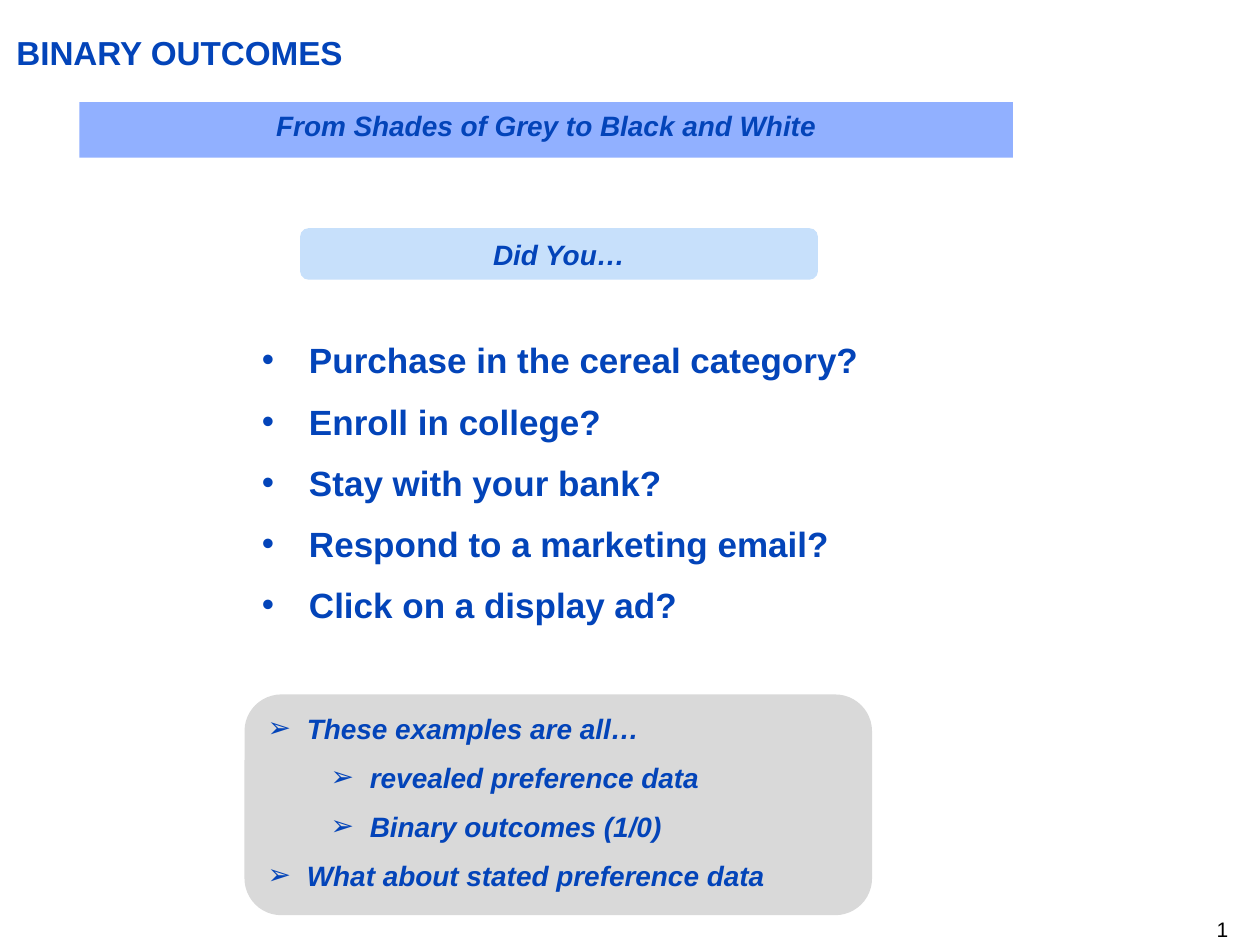
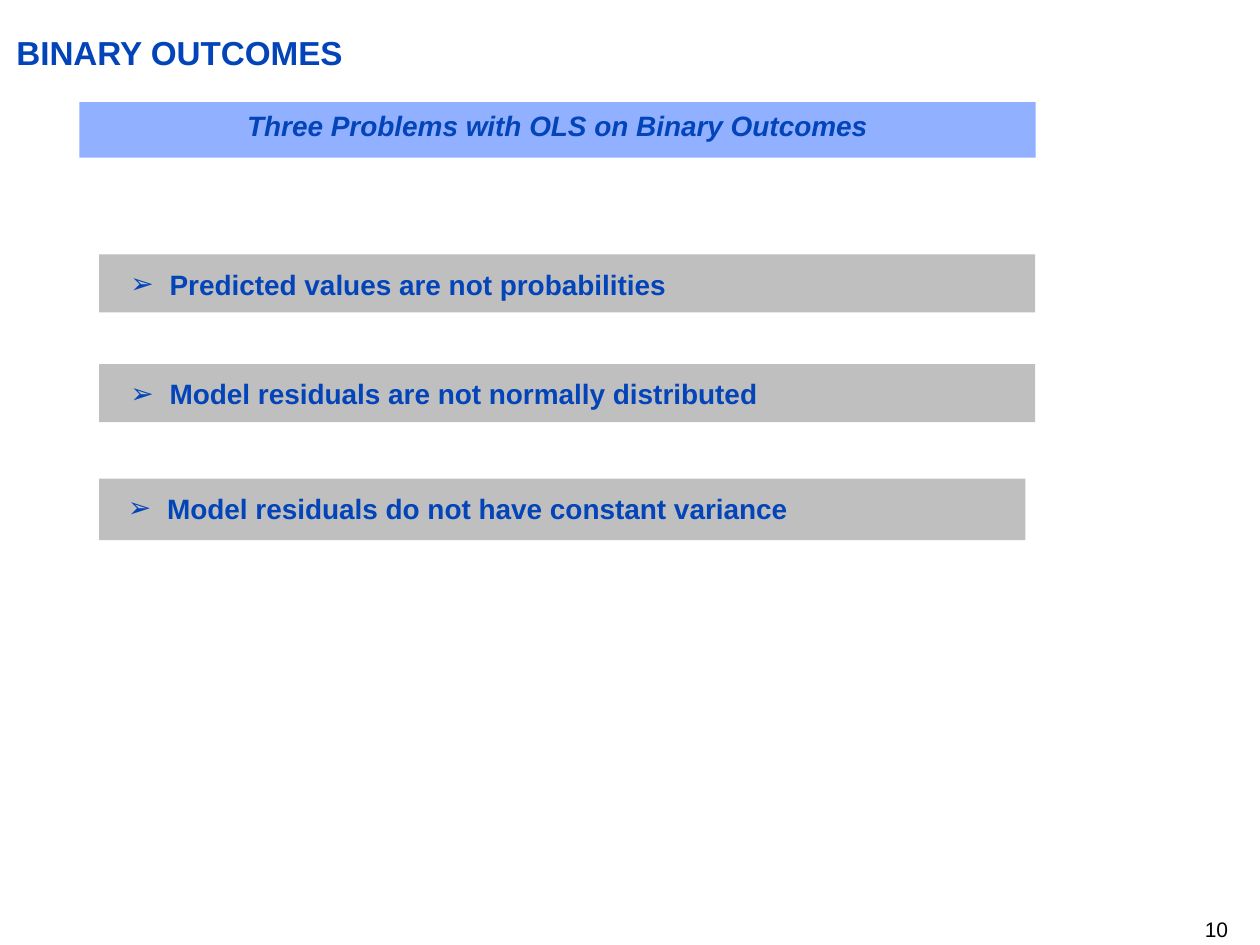
from lxml import etree
from pptx import Presentation
from pptx.dml.color import RGBColor
from pptx.enum.shapes import MSO_SHAPE
from pptx.enum.text import MSO_ANCHOR, MSO_AUTO_SIZE, PP_ALIGN
from pptx.oxml.ns import qn
from pptx.util import Cm, Pt

RECT, ROUND = MSO_SHAPE.RECTANGLE, MSO_SHAPE.ROUNDED_RECTANGLE
LEFT, MID, RIGHT = PP_ALIGN.LEFT, PP_ALIGN.CENTER, PP_ALIGN.RIGHT
TOP, FIXED = MSO_ANCHOR.TOP, MSO_AUTO_SIZE.NONE
TITLE_ONLY = 5

FONT = "Arial"
BLUE, BLACK = "0344B9", "000000"
BAND, PALE, NOTE, BAR = "91B0FF", "C7E0FB", "D9D9D9", "BFBFBF"
ARROW, DOT = "➢", "•"
INSET = (0.25, 0.13)
STEP = 1.27  # extra indent of each level, cm
GAP = 0.55  # space before a paragraph, share of the text size


def color(code):
    return RGBColor.from_string(code)


def place(shape, box):
    shape.left, shape.top, shape.width, shape.height = map(Cm, box)


def add_mark(para, mark, hang):
    """Give a paragraph a bullet and a hanging indent."""
    props = para._p.get_or_add_pPr()
    props.set("marL", str(Cm(hang + STEP * para.level)))
    props.set("indent", str(-Cm(hang)))
    etree.SubElement(props, qn("a:buFont"), typeface=FONT)
    etree.SubElement(props, qn("a:buChar"), char=mark)


def write(shape, *lines, size=16, ink=BLUE, bold=True, slant=False,
          align=LEFT, inset=INSET, mark=None, hang=0.79):
    """Fill a shape with lines; a line is a text or a (text, level) pair."""
    frame = shape.text_frame
    frame.word_wrap, frame.auto_size = True, FIXED
    frame.vertical_anchor = TOP
    frame.margin_left = frame.margin_right = Cm(inset[0])
    frame.margin_top = frame.margin_bottom = Cm(inset[1])
    for i, line in enumerate(lines):
        text, level = (line, 0) if isinstance(line, str) else line
        para = frame.add_paragraph() if i else frame.paragraphs[0]
        para.alignment, para.level = align, level
        para.space_before = Pt(GAP * size if i else 0)
        if mark:
            add_mark(para, mark, hang)
        run = para.add_run()
        run.text = text
        font = run.font
        font.name, font.size = FONT, Pt(size)
        font.bold, font.italic = bold, slant
        font.color.rgb = color(ink)


def add_box(slide, kind, box, fill):
    shape = slide.shapes.add_shape(kind, *map(Cm, box))
    shape.shadow.inherit = False
    shape.fill.solid()
    shape.fill.fore_color.rgb = color(fill)
    shape.line.fill.background()
    return shape


def add_text(slide, box, *lines, **style):
    write(slide.shapes.add_textbox(*map(Cm, box)), *lines, **style)


def add_page(deck, head, number, width):
    """Slide with the shared title, heading band and page number."""
    slide = deck.slides.add_slide(deck.slide_layouts[TITLE_ONLY])
    title = slide.shapes.title
    place(title, (0.33, 0.66, 24.43, 0.81))
    write(title, "BINARY OUTCOMES", size=19, inset=(0, 0))
    band = add_box(slide, RECT, (1.6, 2.06, width, 1.12), BAND)
    write(band, head, slant=True, align=MID)
    add_text(slide, (19.48, 18.47, 5.28, 0.51), number, size=12, ink=BLACK,
             bold=False, align=RIGHT, inset=(0, 0))
    return slide


def add_bar(slide, box, text, shift, width):
    """Grey bar with one marked statement laid over it."""
    left, top, _, _ = box
    add_box(slide, RECT, box, BAR)
    add_text(slide, (left + shift, top + 0.13, width, 0.94), text, mark=ARROW)


def build_intro(deck):
    slide = add_page(deck, "From Shades of Grey to Black and White", "1", 18.82)
    # Question and examples
    ask = add_box(slide, ROUND, (6.05, 4.6, 10.44, 1.04), PALE)
    write(ask, "Did You…", slant=True, align=MID)
    add_text(slide, (5.28, 6.83, 14.55, 5.99),
             "Purchase in the cereal category?",
             "Enroll in college?",
             "Stay with your bank?",
             "Respond to a marketing email?",
             "Click on a display ad?",
             size=20, inset=(0, 0), mark=DOT, hang=0.95)
    # Remarks
    note = add_box(slide, ROUND, (4.93, 14, 12.65, 4.45), NOTE)
    write(note, "These examples are all…",
          ("revealed preference data", 1),
          ("Binary outcomes (1/0)", 1),
          "What about stated preference data",
          slant=True, mark=ARROW)


def build_flaws(deck):
    slide = add_page(deck, "Three Problems with OLS on Binary Outcomes",
                     "10", 19.28)
    # Top, bar width, bar height, text, text shift, text width
    flaws = [
        (5.13, 18.87, 1.17, "Predicted values are not probabilities", 0.38, 14.27),
        (7.34, 18.87, 1.17, "Model residuals are not normally distributed", 0.38, 14.27),
        (9.65, 18.67, 1.24, "Model residuals do not have constant variance", 0.33, 18.54),
    ]
    for top, wide, high, text, shift, span in flaws:
        add_bar(slide, (2, top, wide, high), text, shift, span)


def main():
    deck = Presentation()
    deck.slide_width, deck.slide_height = Cm(25.4), Cm(19.05)
    build_intro(deck)
    build_flaws(deck)
    deck.save("out.pptx")


if __name__ == "__main__":
    main()
